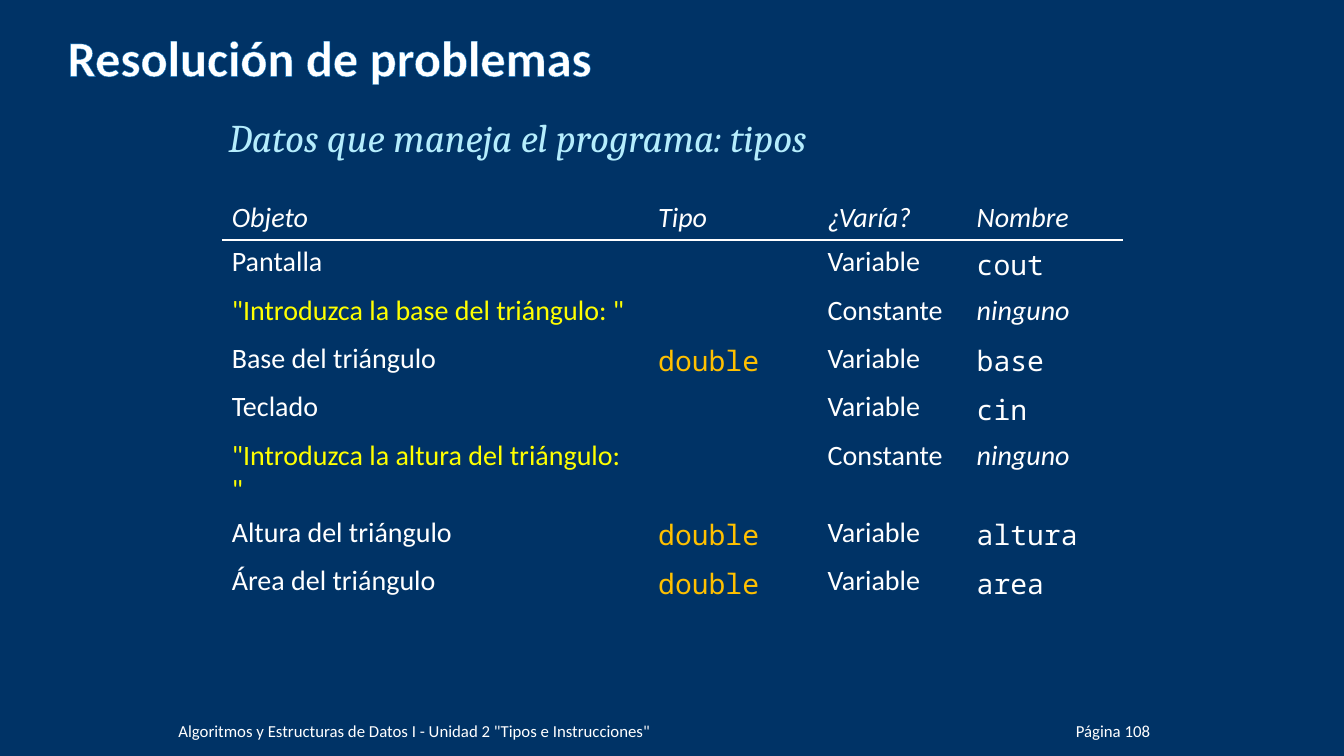
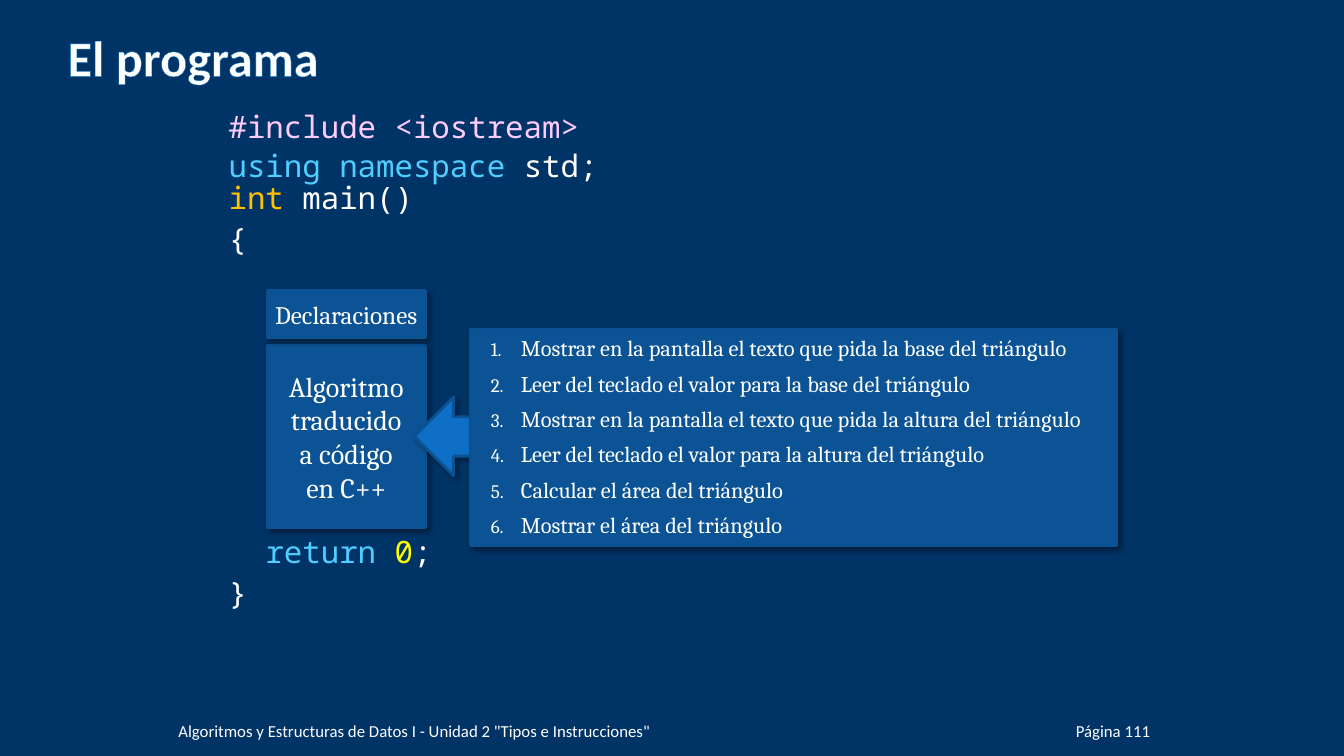
from dataclasses import dataclass

from lxml.etree import SubElement
from pptx import Presentation
from pptx.dml.color import RGBColor
from pptx.enum.shapes import MSO_SHAPE as Preset
from pptx.enum.text import MSO_ANCHOR as Anchor, PP_ALIGN as Align
from pptx.oxml.ns import qn
from pptx.util import Inches, Pt

UNIT = 0.1
SLIDE_COLUMNS, SLIDE_ROWS = 133.33, 75

NAVY, WHITE, YELLOW, AMBER = "003366", "FFFFFF", "FFFF00", "FFC000"
ICE, PINK, SKY = "B5EDFD", "FFCCFF", "4FCEFF"
PANEL, ARROW, EDGE, TITLE_EDGE = "0B5394", "0F6FC6", "0B5292", "0070C0"
SANS, SERIF, MONO = "Calibri", "Cambria", "Noto Sans Mono"
NO_TABLE_STYLE = "{2D5ABB26-0587-4C30-8999-92F81FD0307C}"

COURSE = 'Algoritmos y Estructuras de Datos I - Unidad 2 "Tipos e Instrucciones"'
HEADERS = ["Objeto", "Tipo", "¿Varía?", "Nombre"]
OBJECTS = [
    ("Pantalla", "", "Variable", "cout"),
    ('"Introduzca la base del triángulo: "', "", "Constante", "ninguno"),
    ("Base del triángulo", "double", "Variable", "base"),
    ("Teclado", "", "Variable", "cin"),
    ('"Introduzca la altura del triángulo: "', "", "Constante", "ninguno"),
    ("Altura del triángulo", "double", "Variable", "altura"),
    ("Área del triángulo", "double", "Variable", "area"),
]
CODE = [
    ([("#include <iostream>", PINK)], {}),
    ([("using namespace ", SKY), ("std;", WHITE)], {"before": 4.4}),
    ([("int", AMBER), (" main()", WHITE)], {"after": 6}),
    ([("{", WHITE)], {"after": 6}),
    ([("  ", WHITE), ("return ", SKY), ("0", YELLOW), (";", WHITE)],
     {"before": 194, "after": 6}),
    ([("}", WHITE)], {"after": 6}),
]
STEPS = [
    "Mostrar en la pantalla el texto que pida la base del triángulo",
    "Leer del teclado el valor para la base del triángulo",
    "Mostrar en la pantalla el texto que pida la altura del triángulo",
    "Leer del teclado el valor para la altura del triángulo",
    "Calcular el área del triángulo",
    "Mostrar el área del triángulo",
]


@dataclass
class Box:
    """A region measured in grid columns and rows."""
    left: float
    top: float
    width: float
    height: float

    def region(self, left, top, width, height):
        """Return a region placed relative to this one."""
        return Box(self.left + left, self.top + top, width, height)

    def lengths(self):
        """Return left, top, width and height as slide lengths."""
        return [grid(n) for n in (self.left, self.top, self.width, self.height)]


def grid(count):
    """Turn a count of grid units into a length."""
    return Inches(count * UNIT)


PAGE = Box(0, 0, SLIDE_COLUMNS, SLIDE_ROWS)
CONTENT = PAGE.region(21.7, 10.7, 90, 55.9)


def rgb(code):
    """Turn a hex string into a colour."""
    return RGBColor.from_string(code)


def add_line(parent, tag, color, points):
    """Add a solid line element to text or cell properties."""
    line = parent.makeelement(qn(tag), {"w": str(Pt(points))})
    SubElement(SubElement(line, qn("a:solidFill")), qn("a:srgbClr"), val=color)
    parent.insert(0, line)


def number(paragraph):
    """Give a paragraph a hanging automatic number."""
    props = paragraph._p.get_or_add_pPr()
    props.set("marL", str(Inches(0.4)))
    props.set("indent", str(Inches(-0.3)))
    SubElement(SubElement(props, qn("a:buClr")), qn("a:srgbClr"), val=WHITE)
    SubElement(props, qn("a:buSzPct"), val="85000")
    SubElement(props, qn("a:buAutoNum"), type="arabicPeriod")


def write(frame, text, size=20, font=SANS, color=WHITE, bold=False, italic=False,
          align=Align.LEFT, before=0, after=0, spacing=None, numbered=False,
          outline=None):
    """Add a paragraph from a string or from (text, colour) runs."""
    first = frame.paragraphs[0]
    paragraph = frame.add_paragraph() if first.runs else first
    if numbered:
        number(paragraph)
    paragraph.alignment = align
    paragraph.space_before, paragraph.space_after = Pt(before), Pt(after)
    paragraph.line_spacing = spacing
    for words, tint in [(text, color)] if isinstance(text, str) else text:
        for index, line in enumerate(words.split("\n")):
            if index:
                paragraph.add_line_break()
            run = paragraph.add_run()
            run.text = line
            style = run.font
            style.name, style.size = font, Pt(size)
            style.bold, style.italic = bold, italic
            style.color.rgb = rgb(tint)
            if outline:
                add_line(run._r.get_or_add_rPr(), "a:ln", outline, 0.75)


def add_text(slide, box, anchor=Anchor.TOP, margins=(0.1, 0.05, 0.1, 0.05)):
    """Add a wrapping text box and return its frame."""
    frame = slide.shapes.add_textbox(*box.lengths()).text_frame
    frame.word_wrap = True
    frame.vertical_anchor = anchor
    (frame.margin_left, frame.margin_top,
     frame.margin_right, frame.margin_bottom) = map(Inches, margins)
    return frame


def add_panel(slide, box, preset=Preset.RECTANGLE, fill=PANEL, anchor=Anchor.MIDDLE,
              wrap=False):
    """Add a filled shape with a soft shadow and return its frame."""
    panel = slide.shapes.add_shape(preset, *box.lengths())
    panel.fill.solid()
    panel.fill.fore_color.rgb = rgb(fill)
    panel.line.color.rgb = rgb(EDGE)
    panel.line.width = Pt(2)
    panel.shadow.inherit = False
    effects = panel._element.spPr.find(qn("a:effectLst"))
    shade = SubElement(effects, qn("a:outerShdw"), blurRad=str(Pt(4)),
                       dist=str(Pt(3)), dir=str(45 * 60000), rotWithShape="0")
    black = SubElement(shade, qn("a:srgbClr"), val="000000")
    SubElement(black, qn("a:alpha"), val="40000")
    panel.text_frame.vertical_anchor = anchor
    panel.text_frame.word_wrap = wrap
    return panel.text_frame


def add_page(deck, title, page):
    """Add a slide with its background, title and footer."""
    slide = deck.slides.add_slide(deck.slide_layouts[6])
    slide.background.fill.solid()
    slide.background.fill.fore_color.rgb = rgb(NAVY)
    heading = add_text(slide, PAGE.region(6.7, 3.1, 120, 5.5), Anchor.BOTTOM,
                       (0, 0.05, 0, 0))
    write(heading, title, size=36, bold=True, outline=TITLE_EDGE)
    footers = [(101, 13.1, f"Página {page}", Align.RIGHT),
               (17.7, 81.3, COURSE, Align.LEFT)]
    for left, width, words, align in footers:
        footer = add_text(slide, PAGE.region(left, 69.5, width, 4), Anchor.BOTTOM,
                          (0, 0, 0, 0))
        write(footer, words, size=12, align=align)
    return slide


def cell_format(row, column, words):
    """Return the text format of a cell of the object table."""
    if row == 0 or words == "ninguno":
        return {"italic": True}
    if column == 1:
        return {"font": MONO, "color": AMBER}
    if column == 3:
        return {"font": MONO}
    return {"color": YELLOW} if words.startswith('"') else {}


def add_object_table(slide, box):
    """Add the table of objects with a ruled header."""
    rows = [HEADERS, *OBJECTS]
    table = slide.shapes.add_table(len(rows), len(HEADERS), *box.lengths()).table
    table.first_row = table.horz_banding = False
    table._tbl.tblPr.find(qn("a:tableStyleId")).text = NO_TABLE_STYLE
    for column, width in zip(table.columns, (42.3, 16.8, 14.8, 15.5)):
        column.width = grid(width)
    for r, values in enumerate(rows):
        table.rows[r].height = grid(4.8 if r else 4.4)
        for c, words in enumerate(values):
            cell = table.cell(r, c)
            cell.fill.background()
            if words:
                write(cell.text_frame, words, **cell_format(r, c, words))
            if r == 0:
                add_line(cell._tc.get_or_add_tcPr(), "a:lnB", WHITE, 2)


def add_diagram(slide, box):
    """Add the program blocks and the steps that feed them."""
    algorithm = add_panel(slide, box.region(0, 5.5, 15.7, 18))
    write(algorithm, "Algoritmo\ntraducido\na código\nen C++", font=SERIF,
          align=Align.CENTER)
    declarations = add_panel(slide, box.region(0, 0, 15.7, 4.7))
    write(declarations, "Declaraciones", size=18, font=SERIF, align=Align.CENTER)
    add_panel(slide, box.region(14.6, 10.6, 12.5, 7.8), Preset.LEFT_ARROW, ARROW)
    steps = add_panel(slide, box.region(20.2, 3.9, 64.1, 21.4), anchor=Anchor.TOP,
                      wrap=True)
    for step in STEPS:
        write(steps, step, size=16, font=SERIF, after=6, numbered=True)


def add_types_slide(deck):
    """Add the slide on the data types of the program."""
    slide = add_page(deck, "Resolución de problemas", 108)
    write(add_text(slide, CONTENT), "Datos que maneja el programa: tipos",
          size=28, font=SERIF, color=ICE, italic=True, after=12)
    add_object_table(slide, CONTENT.region(0.3, 8.7, 89.4, 38))


def add_program_slide(deck):
    """Add the slide on the outline of the program."""
    slide = add_page(deck, "El programa", 111)
    code = add_text(slide, CONTENT)
    for runs, gaps in CODE:
        write(code, runs, size=22, font=MONO, spacing=0.88, **gaps)
    add_diagram(slide, CONTENT.region(4.8, 18.1, 84.3, 25.3))


def main():
    """Build and save the deck."""
    deck = Presentation()
    deck.slide_width, deck.slide_height = grid(SLIDE_COLUMNS), grid(SLIDE_ROWS)
    add_types_slide(deck)
    add_program_slide(deck)
    deck.save("out.pptx")


if __name__ == "__main__":
    main()
